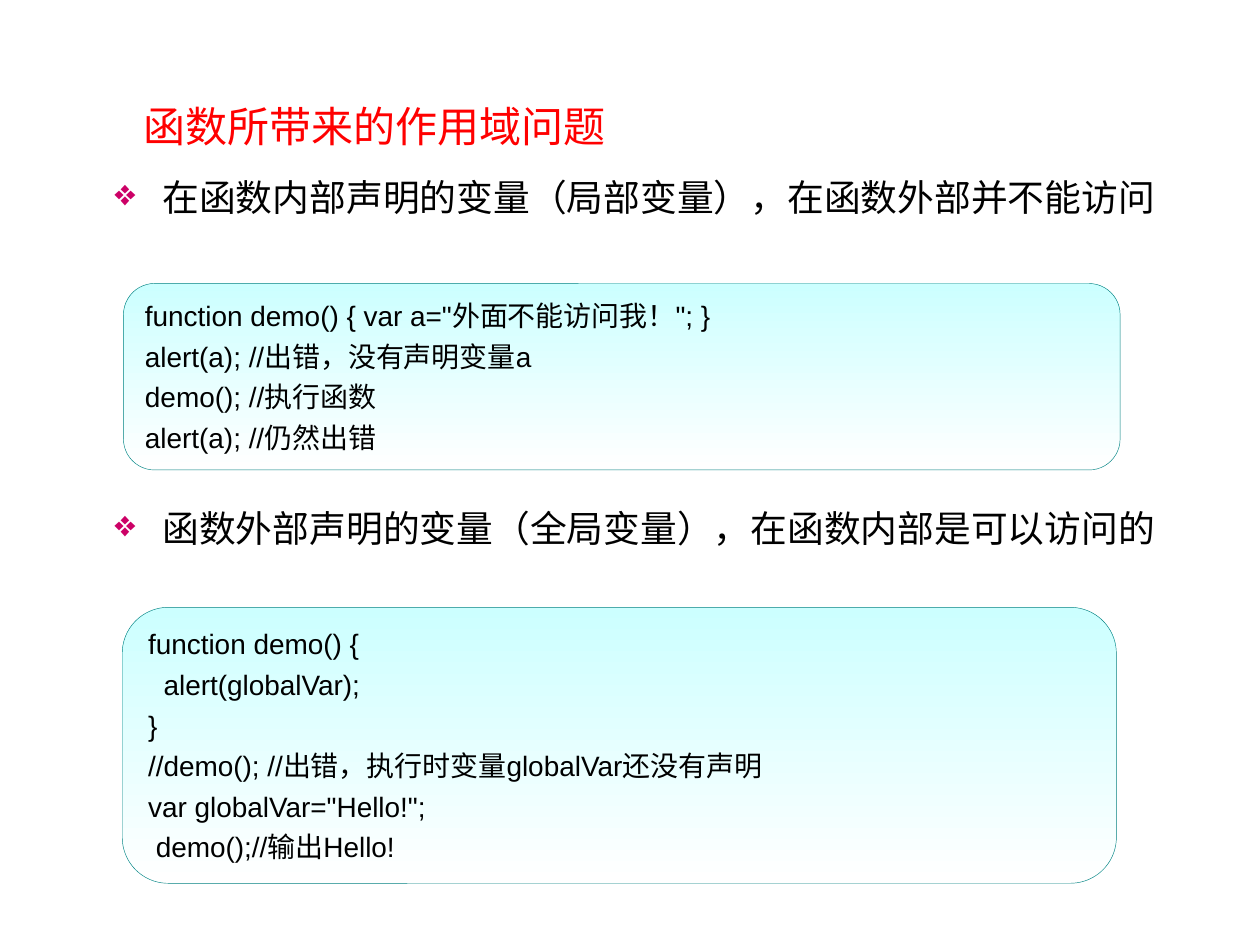
from lxml import etree
from pptx import Presentation
from pptx.dml.color import RGBColor
from pptx.enum import shapes, text
from pptx.oxml.ns import qn
from pptx.util import Inches, Pt

RED = RGBColor(0xFF, 0x00, 0x00)
BLACK = RGBColor(0x00, 0x00, 0x00)
PINK = RGBColor(0xCC, 0x00, 0x66)
TEAL = RGBColor(0x00, 0x80, 0x80)
AQUA = RGBColor(0xCC, 0xFF, 0xFF)
WHITE = RGBColor(0xFF, 0xFF, 0xFF)

TITLE = "函数所带来的作用域问题"
POINTS = [
    "在函数内部声明的变量（局部变量），在函数外部并不能访问",
    "函数外部声明的变量（全局变量），在函数内部是可以访问的",
]
LOCAL = [
    'function demo() { var a="外面不能访问我！"; }',
    "alert(a); //出错，没有声明变量a",
    "demo(); //执行函数",
    "alert(a); //仍然出错",
]
GLOBAL = [
    "function demo() {",
    "  alert(globalVar);",
    "}",
    "//demo(); //出错，执行时变量globalVar还没有声明",
    'var globalVar="Hello!";',
    " demo();//输出Hello!",
]


def write(shape, lines, size, color=BLACK, first=0, gap=0, pad=(0.1, 0.05),
          anchor=text.MSO_ANCHOR.TOP):
    frame = shape.text_frame
    frame.word_wrap = True
    frame.vertical_anchor = anchor
    frame.margin_left = frame.margin_right = Inches(pad[0])
    frame.margin_top = frame.margin_bottom = Inches(pad[1])
    for i, line in enumerate(lines):
        para = frame.add_paragraph() if i else frame.paragraphs[0]
        para.alignment = text.PP_ALIGN.LEFT
        para.space_before = Pt(gap if i else first)
        run = para.add_run()
        run.text = line
        run.font.name = "Arial"
        run.font.size = Pt(size)
        run.font.color.rgb = color
    return frame.paragraphs


def mark(para, indent, sign, color):
    props = para._p.get_or_add_pPr()
    props.set("marL", str(indent))
    props.set("indent", str(-indent))
    tint = etree.SubElement(props, qn("a:buClr"))
    etree.SubElement(tint, qn("a:srgbClr"), val=str(color))
    etree.SubElement(props, qn("a:buChar"), char=sign)


def title(slide, box):
    shape = slide.shapes.add_textbox(*map(Inches, box))
    write(shape, [TITLE], 24, RED, pad=(0, 0), anchor=text.MSO_ANCHOR.MIDDLE)


def points(slide, box):
    shape = slide.shapes.add_textbox(*map(Inches, box))
    for para in write(shape, POINTS, 21, first=5.2, gap=164, pad=(0.09, 0.05)):
        mark(para, Inches(0.38), "❖", PINK)


def code(slide, box, lines):
    shape = slide.shapes.add_shape(
        shapes.MSO_SHAPE.ROUNDED_RECTANGLE, *map(Inches, box))
    shape.shadow.inherit = False
    shape.fill.gradient()
    shape.fill.gradient_angle = 270
    for stop, color in zip(shape.fill.gradient_stops, (AQUA, WHITE)):
        stop.color.rgb = color
    shape.line.color.rgb = TEAL
    shape.line.width = Pt(0.25)
    write(shape, lines, 16, first=4, gap=4)


def main():
    deck = Presentation()
    deck.slide_width, deck.slide_height = Inches(10), Inches(7.5)
    slide = deck.slides.add_slide(deck.slide_layouts[6])
    title(slide, (1.14, 0.6, 6.48, 0.79))
    points(slide, (0.82, 1.34, 9, 4.95))
    code(slide, (0.98, 2.25, 7.91, 1.48), LOCAL)
    code(slide, (0.97, 4.82, 7.89, 2.19), GLOBAL)
    deck.save("out.pptx")


if __name__ == "__main__":
    main()
